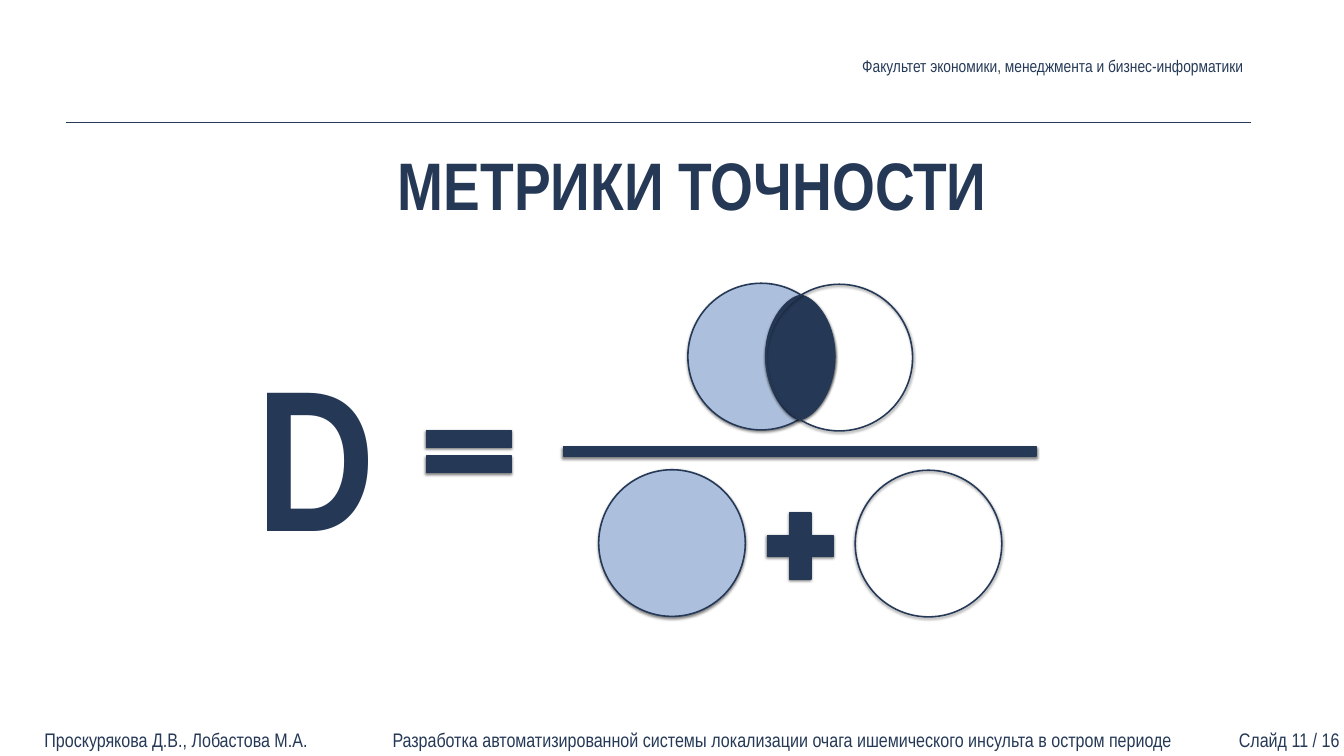
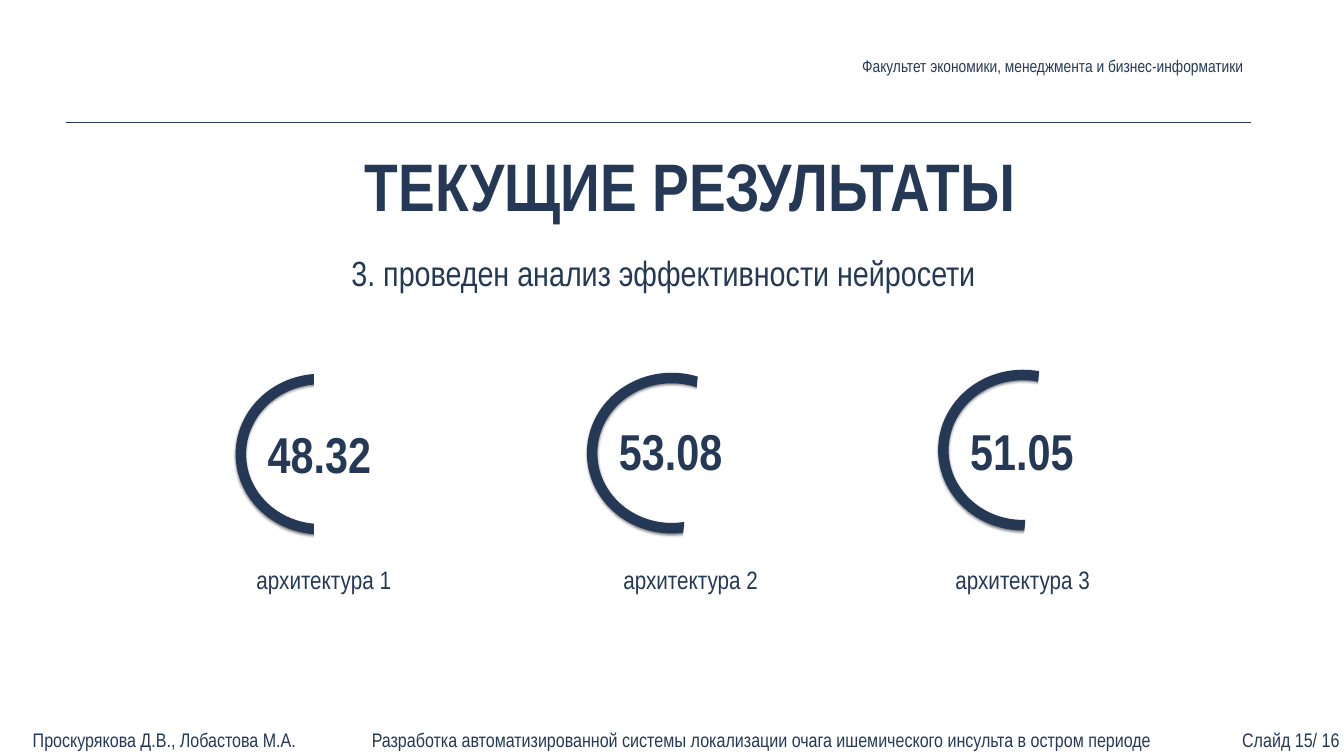
"""Build two slides on accuracy metrics and current results of a stroke localisation project."""
from lxml import etree
from pptx import Presentation
from pptx import util as u
from pptx.dml.color import RGBColor
from pptx.enum import shapes, text
from pptx.oxml.ns import qn

COLORS = {"navy": "253957", "sky": "ACBFDC", "white": "FFFFFF", "shadow": "000000"}
FONT = "Arial Narrow"
KIND = shapes.MSO_SHAPE
ALIGN = text.PP_ALIGN
CENTER = ALIGN.CENTER
MIDDLE = text.MSO_ANCHOR.MIDDLE


def put_text(page, words, place, size, align=CENTER, bold=False, anchor=text.MSO_ANCHOR.TOP, spacing=None, tabs=()):
    """Add a one-paragraph text box; tabs holds (inches, alignment) pairs."""
    box = page.shapes.add_textbox(*map(u.Inches, place))
    frame = box.text_frame
    frame.word_wrap = True
    frame.vertical_anchor = anchor
    frame.margin_left = frame.margin_right = frame.margin_top = frame.margin_bottom = u.Inches(0.08)
    para = frame.paragraphs[0]
    para.alignment = align
    if spacing:
        para.line_spacing = spacing
    if tabs:
        tab_list = etree.SubElement(para._p.get_or_add_pPr(), qn("a:tabLst"))
        for position, side in tabs:
            etree.SubElement(tab_list, qn("a:tab"), pos=str(u.Inches(position)), algn=side)
    span = para.add_run()
    span.text = words
    span.font.name = FONT
    span.font.size = u.Pt(size)
    span.font.bold = bold
    span.font.color.rgb = RGBColor.from_string(COLORS["navy"])


def style_shape(shape, fill="navy", line="navy", width=2.25, shadow=True, adjustments=()):
    """Set fill, outline, adjustments and the soft drop shadow of a shape."""
    shape.shadow.inherit = False
    if fill:
        shape.fill.solid()
        shape.fill.fore_color.rgb = RGBColor.from_string(COLORS[fill])
    else:
        shape.fill.background()
    shape.line.color.rgb = RGBColor.from_string(COLORS[line])
    shape.line.width = u.Pt(width)
    for index, value in enumerate(adjustments):
        shape.adjustments[index] = value
    if shadow:
        effects = shape._element.spPr.find(qn("a:effectLst"))
        outer = etree.SubElement(effects, qn("a:outerShdw"), blurRad=str(u.Pt(4)), dist=str(u.Pt(2)),
                                 dir="5400000", rotWithShape="0")
        tone = etree.SubElement(outer, qn("a:srgbClr"), val=COLORS["shadow"])
        etree.SubElement(tone, qn("a:alpha"), val="50000")


deck = Presentation()
deck.slide_width, deck.slide_height = u.Inches(26.67), u.Inches(15)

pages = []
for title, title_left, title_top, number, footer_stops in [
    ("МЕТРИКИ ТОЧНОСТИ", 1.98, 2.76, "Слайд 11 / 16", (0.8, 7.71)),
    ("ТЕКУЩИЕ РЕЗУЛЬТАТЫ", 1.94, 2.79, "Слайд 15/ 16", (0.57, 7.3)),
]:
    page = deck.slides.add_slide(deck.slide_layouts[6])
    pages.append(page)
    rule = page.shapes.add_connector(shapes.MSO_CONNECTOR.STRAIGHT, *map(u.Inches, (1.31, 2.42, 24.83, 2.42)))
    rule.line.color.rgb = RGBColor.from_string(COLORS["navy"])
    rule.line.width = u.Pt(1)
    etree.SubElement(rule._element.spPr, qn("a:effectLst"))
    put_text(page, "Факультет экономики, менеджмента и бизнес-информатики", (12.4, 1.03, 12.35, 0.56), 24,
             ALIGN.RIGHT, anchor=MIDDLE)
    footer = ["", "Проскурякова Д.В., Лобастова М.А.",
              "Разработка автоматизированной системы локализации очага ишемического инсульта в остром периоде",
              number]
    put_text(page, "\t".join(footer), (0, 14.36, 26.67, 0.63), 28, ALIGN.LEFT, anchor=MIDDLE,
             tabs=[(stop, "l") for stop in footer_stops] + [(26.5, "r")])
    put_text(page, title, (title_left, title_top, 23.52, 2.53), 96, bold=True)

metrics, results = pages

circle = 2.91
plus = metrics.shapes.add_shape(KIND.MATH_PLUS, *map(u.Inches, (14.99, 9.94, 1.78, 1.78)))
style_shape(plus, adjustments=[0.235])
predicted = metrics.shapes.add_shape(KIND.OVAL, *map(u.Inches, (13.65, 5.62, circle, circle)))
style_shape(predicted, "sky")

lens_start = (15.19, 7.05)
lens_curves = [
    ((15.19, 6.32), (15.66, 5.86), (15.89, 5.86)),
    ((16.12, 5.86), (16.57, 6.32), (16.57, 7.05)),
    ((16.57, 7.86), (16.1, 8.32), (15.87, 8.32)),
    ((15.64, 8.32), (15.19, 7.79), (15.19, 7.05)),
]
lens_points = []
start = lens_start
steps = 16
for first, second, end in lens_curves:
    for step in range(1, steps + 1):
        t = step / steps
        weights = ((1 - t) ** 3, 3 * t * (1 - t) ** 2, 3 * t ** 2 * (1 - t), t ** 3)
        corners = (start, first, second, end)
        lens_points.append(tuple(u.Inches(sum(w * c[axis] for w, c in zip(weights, corners))) for axis in (0, 1)))
    start = end
builder = metrics.shapes.build_freeform(*map(u.Inches, lens_start))
builder.add_line_segments(lens_points, close=True)
style_shape(builder.convert_to_shape(), width=1)

for left, top, fill in [(15.2, 5.64, None), (16.97, 9.33, None), (11.88, 9.32, "sky")]:
    area = metrics.shapes.add_shape(KIND.OVAL, *map(u.Inches, (left, top, circle, circle)))
    style_shape(area, fill)

put_text(metrics, "D", (4.42, 6.46, 3.7, 4.99), 287, bold=True, anchor=MIDDLE)
for kind, place, adjustments in [
    (KIND.MATH_MINUS, (9.49, 8.55, 12.76, 0.81), [0.235]),
    (KIND.MATH_EQUAL, (8.16, 8.25, 2.29, 1.42), [0.235, 0.118]),
]:
    sign = metrics.shapes.add_shape(kind, *map(u.Inches, place))
    style_shape(sign, adjustments=adjustments)

gauges = [
    ("48.32", 7.52, 8.31, 4.95, KIND.RECTANGLE, (6.24, 7.15, 2.5, 3.59)),
    ("53.08", 7.5, 8.25, 12.23, KIND.RIGHT_TRIANGLE, (11.45, 6.26, 4.51, 5.65)),
    ("51.05", 7.44, 8.25, 18.82, KIND.RIGHT_TRIANGLE, (18.19, 6.53, 4.51, 5.65)),
]
for index, (score, ring_top, score_top, label_left, cut_kind, cut_place) in enumerate(gauges):
    ring_left = 4.78 + 6.97 * index
    ring = results.shapes.add_shape(KIND.OVAL, *map(u.Inches, (ring_left, ring_top, 3.16, 2.98)))
    style_shape(ring, None, width=15)
    cut = results.shapes.add_shape(cut_kind, *map(u.Inches, cut_place))
    style_shape(cut, "white", "white", 0.75, shadow=False)
    if cut_kind == KIND.RIGHT_TRIANGLE:
        cut.rotation = 326.7
        cut._element.spPr.find(qn("a:xfrm")).set("flipH", "1")
    put_text(results, score, (ring_left + 0.45, score_top, 2.38, 0.93), 72, ALIGN.LEFT, bold=True)
    put_text(results, f"архитектура {index + 1}", (label_left, 11.11, 2.95, 0.93), 36)

put_text(results, "3. проведен анализ эффективности нейросети", (5.09, 4.49, 16.16, 0.93), 50, spacing=1.5)

deck.save("out.pptx")
